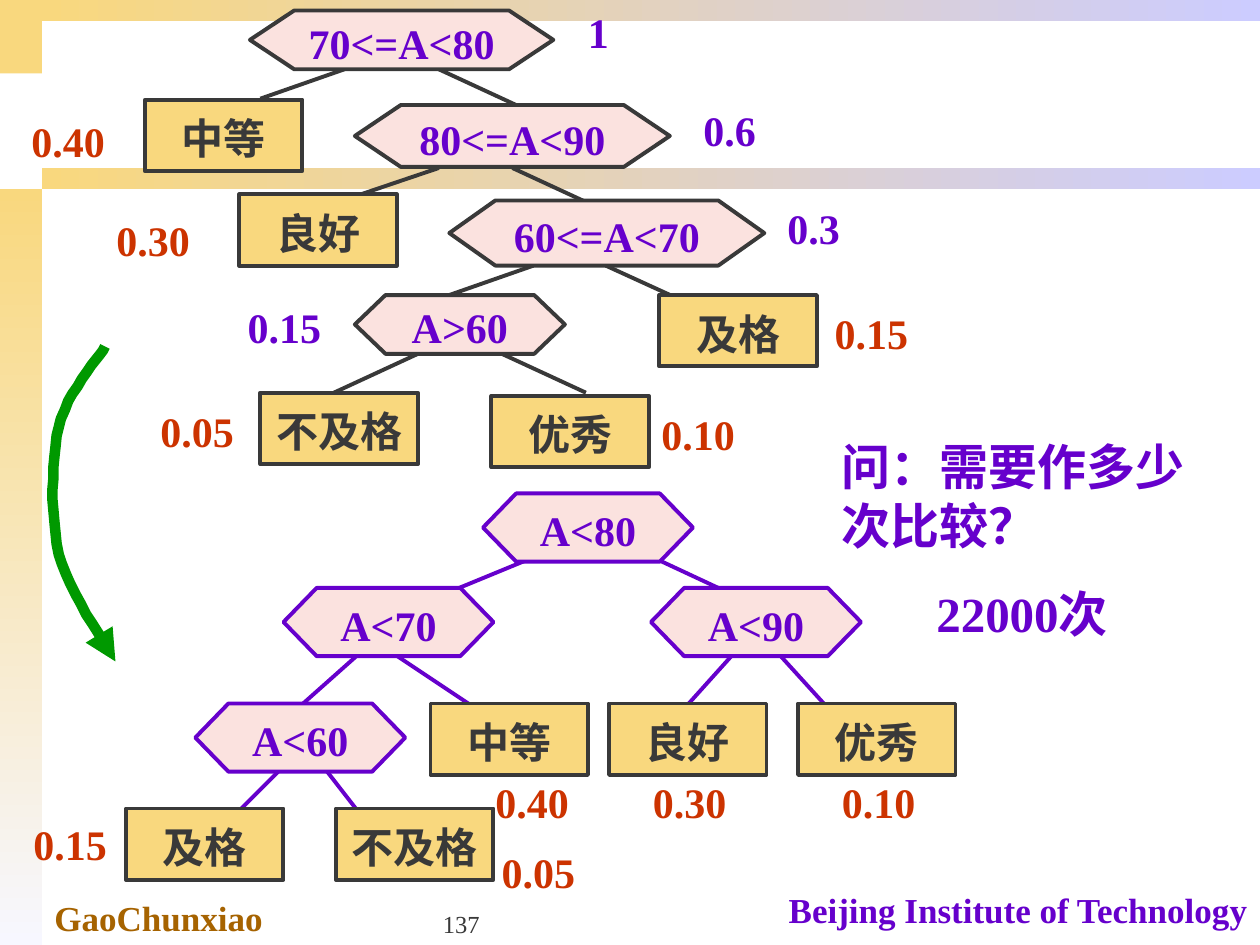
from dataclasses import dataclass

from lxml import etree
from pptx import Presentation, util as u
from pptx.dml.color import RGBColor
from pptx.enum import shapes, text
from pptx.oxml.ns import qn

PX = u.Inches(1) // 120
SHAPE = shapes.MSO_SHAPE
ALIGN = text.PP_ALIGN
ANCHOR = text.MSO_ANCHOR


@dataclass(frozen=True)
class Theme:
    latin: str = "Times New Roman"
    asian: str = "Noto Sans CJK SC"
    gold: str = "F9D87E"
    pale: str = "F7F7FF"
    lilac: str = "CCCCFF"
    pink: str = "FBE2DF"
    dark: str = "393939"
    violet: str = "6600CC"
    red: str = "CC3300"
    brown: str = "A66300"
    green: str = "009900"
    page: int = 14
    foot: int = 20
    node: int = 24
    ask: int = 28
    line: float = 2.25
    arrow: int = 6


T = Theme()


def rgb(code):
    return RGBColor.from_string(code)


def px(*nums):
    return [round(n * PX) for n in nums]


def write(frame, words, size, color, align=ALIGN.LEFT, bold=True):
    frame.text = words
    frame.word_wrap = True
    para = frame.paragraphs[0]
    para.alignment = align
    font = para.runs[0].font
    font.size, font.bold = u.Pt(size), bold
    font.color.rgb = rgb(color)
    font.name = T.latin
    props = para.runs[0]._r.get_or_add_rPr()
    etree.SubElement(props, qn("a:ea"), typeface=T.asian)
    return para


def add_text(slide, box, words, size, color, **style):
    frame = slide.shapes.add_textbox(*px(*box)).text_frame
    write(frame, words, size, color, **style)
    return frame


def add_bar(slide, box, start, end=None, angle=0):
    bar = slide.shapes.add_shape(SHAPE.RECTANGLE, *px(*box))
    bar.shadow.inherit = False
    bar.line.fill.background()
    if end is None:
        bar.fill.solid()
        bar.fill.fore_color.rgb = rgb(start)
        return
    bar.fill.gradient()
    bar.fill.gradient_angle = angle
    for stop, color, place in zip(bar.fill.gradient_stops, (start, end), (0, 1)):
        stop.color.rgb = rgb(color)
        stop.position = place


def add_frame(slide, wide, high):
    add_bar(slide, (0, 0, 40, 70), T.gold)
    add_bar(slide, (0, 180, 40, high - 180), T.gold, T.pale, 270)
    for top in (160, 0):
        add_bar(slide, (40, top, wide - 40, 20), T.gold, T.lilac)


def add_footer(slide, left, top):
    add_text(slide, (left, top + 8, 420, 53), "GaoChunxiao", T.foot, T.brown)
    add_text(slide, (left + 690, top, 470, 52), "Beijing Institute of Technology",
             T.foot, T.violet, align=ALIGN.RIGHT)
    page = add_text(slide, (left + 370, top, 250, 60), "137", T.page, T.dark, bold=False)
    page.vertical_anchor = ANCHOR.BOTTOM


def add_node(slide, kind, box, words, fill, line, color):
    node = slide.shapes.add_shape(kind, *px(*box))
    node.shadow.inherit = False
    node.fill.solid()
    node.fill.fore_color.rgb = rgb(fill)
    node.line.color.rgb = rgb(line)
    node.line.width = u.Pt(T.line)
    frame = node.text_frame
    para = write(frame, words, T.node, color, ALIGN.CENTER)
    para.line_spacing = 1.1
    frame.word_wrap = False
    frame.vertical_anchor = ANCHOR.MIDDLE
    return node


def add_tree(slide, left, top, tree):
    """Draw edges, then tests, leaves and weights, all relative to left and top."""
    for x1, y1, x2, y2 in tree["edges"]:
        edge = slide.shapes.add_connector(
            shapes.MSO_CONNECTOR.STRAIGHT,
            *px(left + x1, top + y1, left + x2, top + y2))
        edge.line.color.rgb = rgb(tree["line"])
        edge.line.width = u.Pt(T.line)
        etree.SubElement(edge._element.spPr, qn("a:effectLst"))
    for words, x, y, wide, high in tree["tests"]:
        node = add_node(slide, SHAPE.HEXAGON, (left + x, top + y, wide, high),
                        words, T.pink, tree["line"], T.violet)
        node.adjustments[0] = tree["slant"] * wide / high
    for words, x, y in tree["leaves"]:
        add_node(slide, SHAPE.RECTANGLE, (left + x, top + y, 150, 68),
                 words, T.gold, T.dark, T.dark)
    for color in (T.red, T.violet):
        for words, x, y in tree.get(color, ()):
            add_text(slide, (left + x, top + y, 140, 60), words, T.node, color)


def add_arrow(slide, left, top):
    """Draw a bent arrow through cubic curves given as start, two controls, end."""
    curves = [((52, 0), (45, 13), (16, 43), (8, 77)),
              ((8, 77), (1, 109), (0, 161), (8, 198)),
              ((8, 198), (18, 235), (50, 278), (62, 300))]
    steps = 12
    dots = []
    for a, b, c, d in curves:
        for step in range(1, steps + 1):
            t = step / steps
            s = 1 - t
            dots.append(tuple(
                (left, top)[i] + s**3 * a[i] + 3 * s * s * t * b[i]
                + 3 * s * t * t * c[i] + t**3 * d[i] for i in (0, 1)))
    pen = slide.shapes.build_freeform(left + 52, top, scale=PX)
    pen.add_line_segments(dots, close=False)
    arrow = pen.convert_to_shape()
    arrow.shadow.inherit = False
    arrow.fill.background()
    arrow.line.color.rgb = rgb(T.green)
    arrow.line.width = u.Pt(T.arrow)
    etree.SubElement(arrow.line._get_or_add_ln(), qn("a:tailEnd"), type="triangle")


UPPER = {
    "line": T.dark, "slant": 0.146,
    "edges": [(308, 66, 228, 94), (398, 66, 478, 103),
              (398, 160, 318, 187), (468, 160, 548, 197),
              (488, 253, 408, 281), (557, 253, 638, 290),
              (378, 337, 298, 374), (458, 337, 538, 374)],
    "tests": [("70<=A<80", 218, 10, 289, 56), ("80<=A<90", 318, 100, 300, 59),
              ("60<=A<70", 408, 191, 300, 62), ("A>60", 318, 281, 200, 56)],
    "leaves": [("中等", 118, 95), ("良好", 208, 185), ("及格", 608, 281),
               ("不及格", 228, 374), ("优秀", 448, 377)],
    T.red: [("0.40", -2, 104), ("0.30", 79, 198), ("0.15", 763, 287),
            ("0.05", 121, 380), ("0.10", 598, 383)],
    T.violet: [("1", 528, 0), ("0.6", 638, 94), ("0.3", 718, 187),
               ("0.15", 204, 281)],
}
LOWER = {
    "line": T.violet, "slant": 0.158,
    "edges": [(490, 60, 320, 130), (600, 60, 750, 130),
              (325, 150, 235, 230), (336, 140, 486, 240),
              (690, 140, 600, 240), (710, 140, 810, 250),
              (260, 250, 170, 340), (280, 250, 350, 340)],
    "tests": [("A<80", 440, 0, 200, 65), ("A<70", 250, 90, 200, 65),
              ("A<90", 600, 90, 200, 65), ("A<60", 166, 200, 200, 65)],
    "leaves": [("中等", 390, 200), ("良好", 560, 200), ("优秀", 740, 200),
               ("及格", 100, 300), ("不及格", 300, 300)],
    T.red: [("0.40", 440, 264), ("0.30", 590, 264), ("0.10", 770, 264),
            ("0.15", 0, 304), ("0.05", 446, 330)],
}


def main():
    deck = Presentation()
    deck.slide_width, deck.slide_height = px(1200, 900)
    slide = deck.slides.add_slide(deck.slide_layouts[6])
    add_frame(slide, 1200, 900)
    add_footer(slide, 40, 840)
    add_tree(slide, 20, 470, LOWER)
    add_tree(slide, 20, 0, UPPER)
    add_text(slide, (790, 410, 370, 124), "问：需要作多少次比较？", T.ask, T.violet)
    add_text(slide, (880, 550, 230, 68), "22000次", T.ask, T.violet)
    add_arrow(slide, 48, 330)
    deck.save("out.pptx")


if __name__ == "__main__":
    main()
